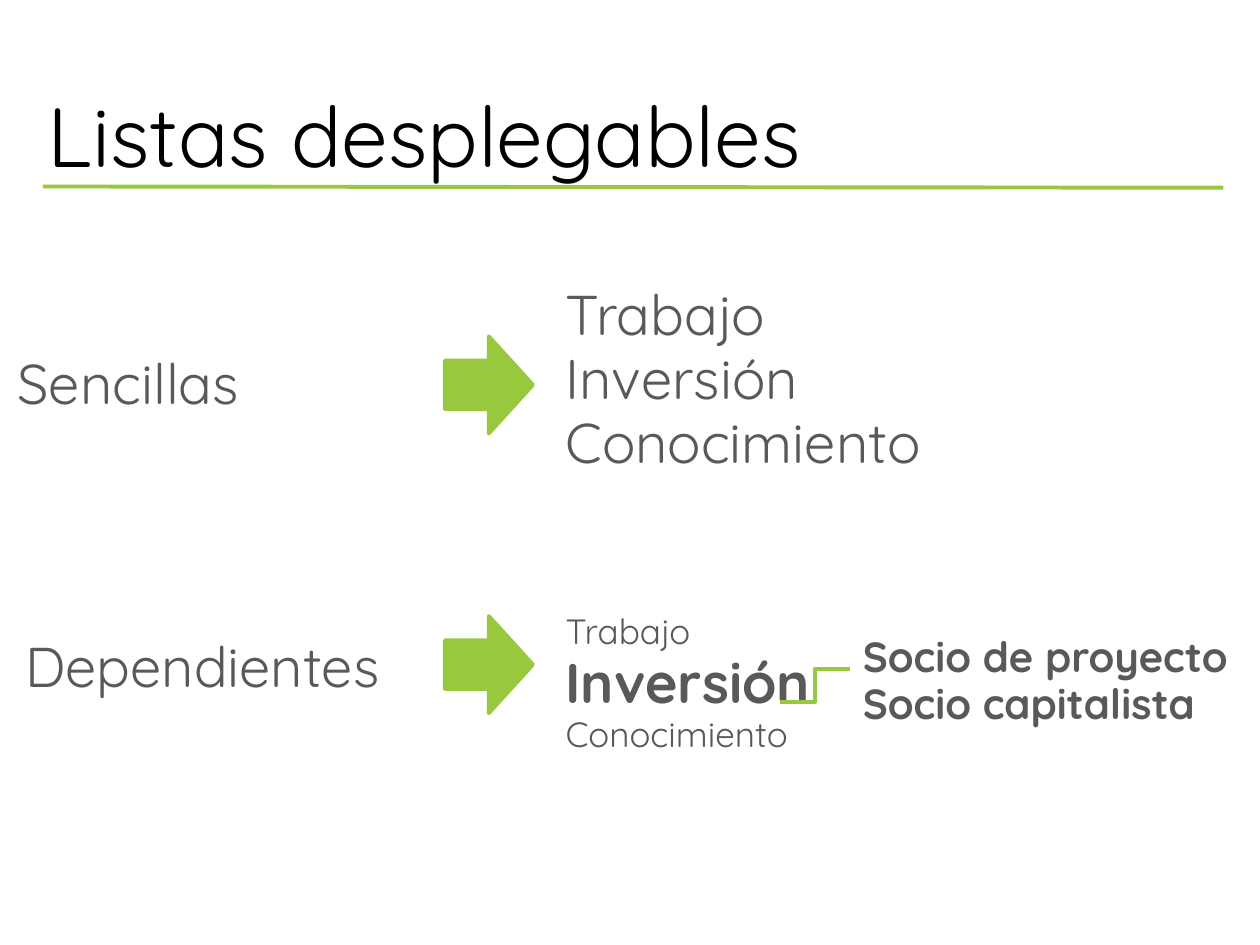
from lxml import etree
from pptx import Presentation
from pptx.dml.color import RGBColor
from pptx.enum import shapes, text
from pptx.oxml import ns
from pptx.util import Inches, Pt

GREEN = RGBColor(0x98, 0xC8, 0x3E)
GREY = RGBColor(0x59, 0x59, 0x59)
BLACK = RGBColor(0, 0, 0)


class Deck:
    font = "Quicksand"
    line_width = Pt(2.25)
    inset = Inches(0.1)

    def __init__(self, prs):
        self.s = prs.slides.add_slide(prs.slide_layouts[5])

    def set_lines(self, sp, lines, color, anchor, spacing):
        """Fill a shape with (text, size, bold) lines."""
        tf = sp.text_frame
        tf.word_wrap = True
        tf.auto_size = text.MSO_AUTO_SIZE.NONE
        tf.vertical_anchor = anchor
        tf.margin_left = tf.margin_right = self.inset
        tf.margin_top = tf.margin_bottom = self.inset
        for i, (words, size, bold) in enumerate(lines):
            p = tf.add_paragraph() if i else tf.paragraphs[0]
            p.text = words
            p.alignment = text.PP_ALIGN.LEFT
            p.line_spacing = spacing
            p.space_before = Pt(0)
            p.font.name = self.font
            p.font.size = Pt(size)
            p.font.bold = bold
            p.font.color.rgb = color

    def title(self, words, x, y, w, h):
        sp = self.s.shapes.title
        sp.left, sp.top, sp.width, sp.height = map(Inches, (x, y, w, h))
        self.set_lines(sp, [(words, 48, False)], BLACK,
                       text.MSO_ANCHOR.TOP, 1.0)

    def label(self, lines, x, y, w, h):
        sp = self.s.shapes.add_textbox(*map(Inches, (x, y, w, h)))
        self.set_lines(sp, lines, GREY, text.MSO_ANCHOR.BOTTOM, 0.95)

    def arrow(self, x, y, w, h):
        sp = self.s.shapes.add_shape(
            shapes.MSO_SHAPE.RIGHT_ARROW, *map(Inches, (x, y, w, h)))
        sp.shadow.inherit = False
        sp.fill.solid()
        sp.fill.fore_color.rgb = GREEN
        self.outline(sp)
        ln = sp.element.spPr.find(ns.qn("a:ln"))
        etree.SubElement(ln, ns.qn("a:round"))

    def line(self, kind, x1, y1, x2, y2):
        c = self.s.shapes.add_connector(kind, *map(Inches, (x1, y1, x2, y2)))
        self.outline(c)
        etree.SubElement(c.element.spPr, ns.qn("a:effectLst"))

    def outline(self, sp):
        sp.line.color.rgb = GREEN
        sp.line.width = self.line_width


def main():
    prs = Presentation()
    prs.slide_width, prs.slide_height = Inches(10), Inches(7.5)
    d = Deck(prs)

    d.title("Listas desplegables", 0.28, 0.56, 9.32, 0.83)
    d.line(shapes.MSO_CONNECTOR.STRAIGHT, 0.34, 1.48, 9.71, 1.49)

    d.label([("Sencillas", 32, False)], 0.04, 2.55, 9.32, 0.86)
    d.label([("Dependientes", 32, False)], 0.1, 4.8, 9.32, 0.86)
    for y in (2.67, 4.89):
        d.arrow(3.53, y, 0.7, 0.77)

    options = ("Trabajo", "Inversión", "Conocimiento")
    d.label([(o, 32, False) for o in options], 4.39, 3.02, 9.32, 0.86)
    d.label([(o, 32, True) if o == "Inversión" else (o, 20, False)
             for o in options], 4.39, 4.27, 2.51, 1.83)
    d.label([("Socio de proyecto", 24, True), ("Socio capitalista", 24, True)],
            6.75, 4.72, 3.25, 1.17)
    d.line(shapes.MSO_CONNECTOR.ELBOW, 6.19, 5.57, 6.75, 5.31)

    prs.save("out.pptx")


if __name__ == "__main__":
    main()
